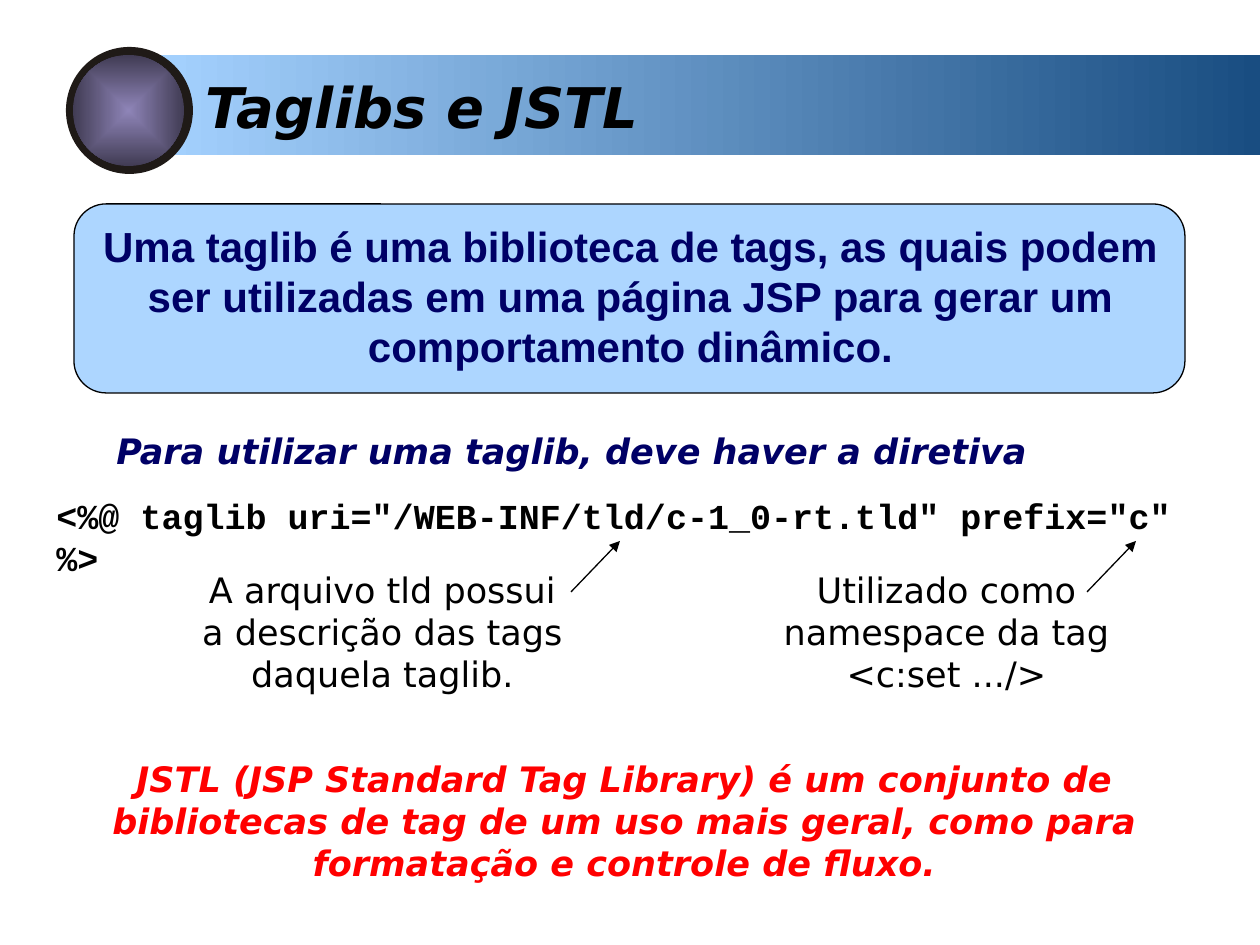
from lxml import etree
from pptx import Presentation
from pptx.dml.color import RGBColor
from pptx.enum.shapes import MSO_CONNECTOR, MSO_SHAPE
from pptx.enum.text import PP_ALIGN
from pptx.oxml.ns import qn
from pptx.util import Pt

PX = 914400 / 126
COLORS = {
    "black": "000000", "navy": "000066", "red": "FF0000",
    "bar light": "A5D2FF", "bar dark": "194D81", "box": "ADD6FF",
    "ring": "1F1A17", "disc centre": "8E84B7", "disc edge": "413C54",
}


def color(name):
    return RGBColor.from_string(COLORS[name])


def px(*lengths):
    return [round(length * PX) for length in lengths]


prs = Presentation()
prs.slide_width, prs.slide_height = px(1260, 945)
slide = prs.slides.add_slide(prs.slide_layouts[6])
shapes = slide.shapes

# Header band, round emblem and definition box: one or two fill colours each
panels = []
for kind, place, fills in [
    (MSO_SHAPE.RECTANGLE, (154, 55, 1106, 100), ("bar light", "bar dark")),
    (MSO_SHAPE.OVAL, (66, 47, 127, 127), ("ring",)),
    (MSO_SHAPE.OVAL, (73, 55, 111, 111), ("disc centre", "disc edge")),
    (MSO_SHAPE.ROUNDED_RECTANGLE, (74, 204, 1111, 189), ("box",)),
]:
    panel = shapes.add_shape(kind, *px(*place))
    panel.shadow.inherit = False
    panel.line.fill.background()
    if len(fills) == 1:
        panel.fill.solid()
        panel.fill.fore_color.rgb = color(fills[0])
    else:
        panel.fill.gradient()
        panel.fill.gradient_angle = 0
        for stop, name in zip(panel.fill.gradient_stops, fills):
            stop.color.rgb = color(name)
    panels.append(panel)
header, ring, disc, definition_box = panels

linear = disc._element.spPr.find(qn("a:gradFill")).find(qn("a:lin"))
from_centre = etree.Element(qn("a:path"), {"path": "rect"})
etree.SubElement(from_centre, qn("a:fillToRect"),
                 {side: "50000" for side in "ltrb"})
linear.getparent().replace(linear, from_centre)

definition_box.adjustments[0] = 0.17
definition_box.line.color.rgb = color("black")
definition_box.line.width = Pt(0.75)

LEFT, CENTER = PP_ALIGN.LEFT, PP_ALIGN.CENTER
SANS = "DejaVu Sans"
for text, place, font, size, ink, bold, italic, align in [
    ("Taglibs e JSTL", (193, 66, 1067, 81), SANS, 32, "black", True, True, LEFT),
    ("Uma taglib é uma biblioteca de tags, as quais podem ser utilizadas em "
     "uma página JSP para gerar um comportamento dinâmico.",
     (86, 214, 1089, 164), "Arial", 24, "navy", True, False, CENTER),
    ("Para utilizar uma taglib, deve haver a diretiva",
     (104, 423, 1081, 55), SANS, 20, "navy", True, True, LEFT),
    ('<%@ taglib uri="/WEB-INF/tld/c-1_0-rt.tld" prefix="c" %>',
     (44, 488, 1203, 55), "Courier New", 20, "black", True, False, LEFT),
    ("Utilizado como\vnamespace da tag\v<c:set .../>",
     (748, 562, 397, 139), SANS, 20, "black", False, False, CENTER),
    ("A arquivo tld possui a descrição das tags daquela taglib.",
     (184, 562, 397, 139), SANS, 20, "black", False, False, CENTER),
    ("JSTL (JSP Standard Tag Library) é um conjunto de bibliotecas de tag de "
     "um uso mais geral, como para formatação e controle de fluxo.",
     (84, 751, 1081, 139), SANS, 20, "red", True, True, CENTER),
]:
    frame = shapes.add_textbox(*px(*place)).text_frame
    frame.word_wrap = font != "Courier New"  # the directive stays on one line
    frame.text = text
    paragraph = frame.paragraphs[0]
    paragraph.alignment = align
    for run in paragraph.runs:
        run.font.name = font
        run.font.size = Pt(size)
        run.font.bold = bold
        run.font.italic = italic
        run.font.color.rgb = color(ink)

# Arrows from the two notes up to the parts of the directive
for start_x in (571, 1087):
    arrow = shapes.add_connector(
        MSO_CONNECTOR.STRAIGHT, *px(start_x, 592, start_x + 49, 541))
    arrow.line.color.rgb = color("black")
    arrow.line.width = Pt(0.75)
    etree.SubElement(arrow.line._get_or_add_ln(), qn("a:tailEnd"),
                     {"type": "triangle"})
    etree.SubElement(arrow._element.spPr, qn("a:effectLst"))

prs.save("out.pptx")
